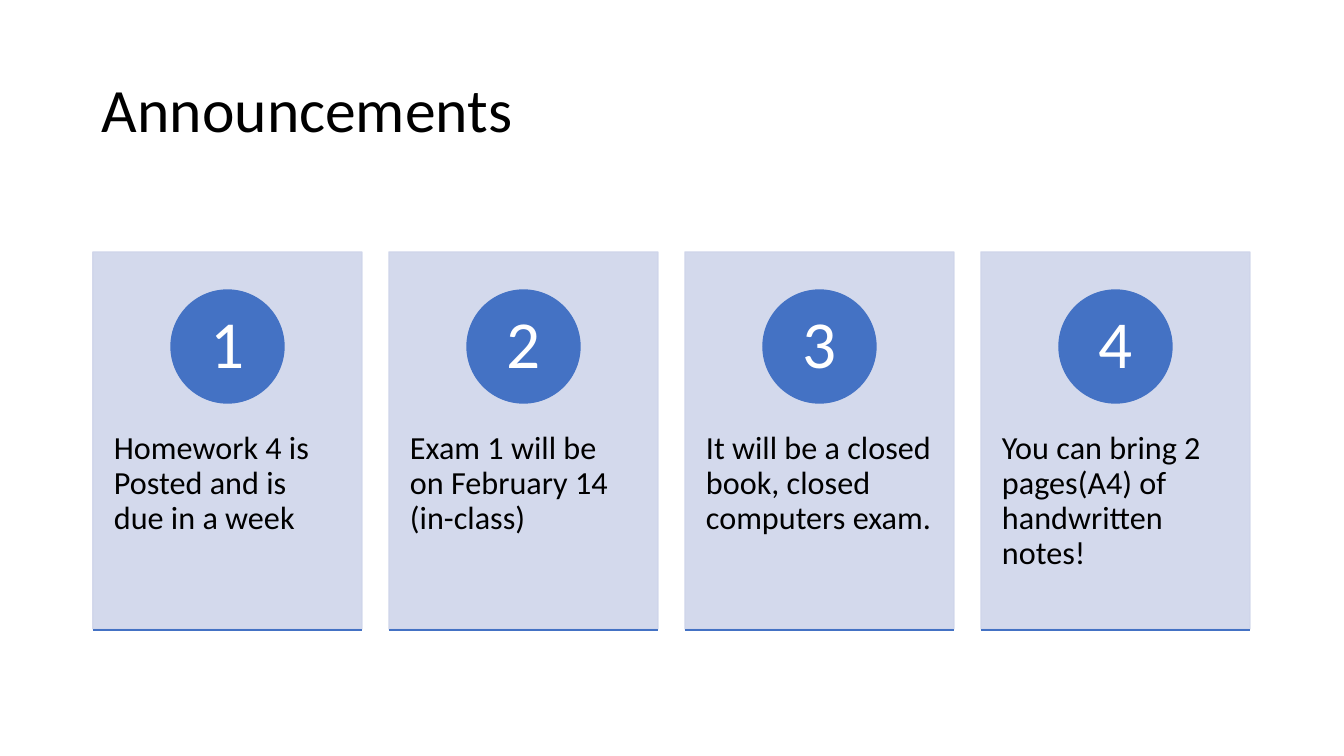
"""Build the Announcements slide with four numbered cards."""
from lxml import etree
from pptx import Presentation
from pptx import util as u
from pptx.dml.color import RGBColor
from pptx.enum import shapes, text
from pptx.oxml import ns

PX = u.Inches(1) / 100.8
BLUE, PALE = "4472C4", "CFD5EA"
ANNOUNCEMENTS = [
    "Homework 4 is Posted and is due in a week",
    "Exam 1 will be on February 14 (in-class)",
    "It will be a closed book, closed computers exam.",
    "You can bring 2 pages(A4) of handwritten notes!",
]


def color(hex_value):
    return RGBColor.from_string(hex_value)


def write(shape, words, size, fill="000000", align=text.PP_ALIGN.LEFT,
          anchor=text.MSO_ANCHOR.MIDDLE, inset=(10, 5)):
    frame = shape.text_frame
    frame.word_wrap = True
    frame.vertical_anchor = anchor
    frame.margin_left = frame.margin_right = round(inset[0] * PX)
    frame.margin_top = frame.margin_bottom = round(inset[1] * PX)
    paragraph = frame.paragraphs[0]
    paragraph.text = words
    paragraph.alignment = align
    paragraph.line_spacing = 0.9
    paragraph.font.name = "Calibri"
    paragraph.font.size = u.Pt(size)
    paragraph.font.color.rgb = color(fill)


presentation = Presentation()
presentation.slide_width = round(1344 * PX)
presentation.slide_height = round(756 * PX)
slide = presentation.slides.add_slide(presentation.slide_layouts[6])

title = slide.shapes.add_textbox(*(round(n * PX) for n in (92, 40, 1159, 146)))
write(title, "Announcements", 44)

for index, announcement in enumerate(ANNOUNCEMENTS):
    left = 93 + 296 * index
    for kind, box, fill in (
        (shapes.MSO_SHAPE.RECTANGLE, (left, 252, 269, 377), PALE),
        (shapes.MSO_SHAPE.OVAL, (left + 78, 290, 113, 113), BLUE),
    ):
        shape = slide.shapes.add_shape(kind, *(round(n * PX) for n in box))
        shape.shadow.inherit = False
        shape.fill.solid()
        shape.fill.fore_color.rgb = color(fill)
        shape.line.color.rgb = color(fill)
        shape.line.width = u.Pt(1)
        if fill == PALE:
            for tint in shape.element.spPr.iter(ns.qn("a:srgbClr")):
                etree.SubElement(tint, ns.qn("a:alpha"), val="90000")
        else:
            write(shape, str(index + 1), 48, "FFFFFF", text.PP_ALIGN.CENTER, inset=(9, 1))

    body = slide.shapes.add_textbox(*(round(n * PX) for n in (left, 396, 269, 227)))
    write(body, announcement, 23, anchor=text.MSO_ANCHOR.TOP, inset=(21, 36))

    baseline = slide.shapes.add_connector(
        shapes.MSO_CONNECTOR.STRAIGHT,
        *(round(n * PX) for n in (left, 630, left + 269, 630)))
    baseline.line.color.rgb = color(BLUE)
    baseline.line.width = u.Pt(1)
    etree.SubElement(baseline.element.spPr, ns.qn("a:effectLst"))

presentation.save("out.pptx")
